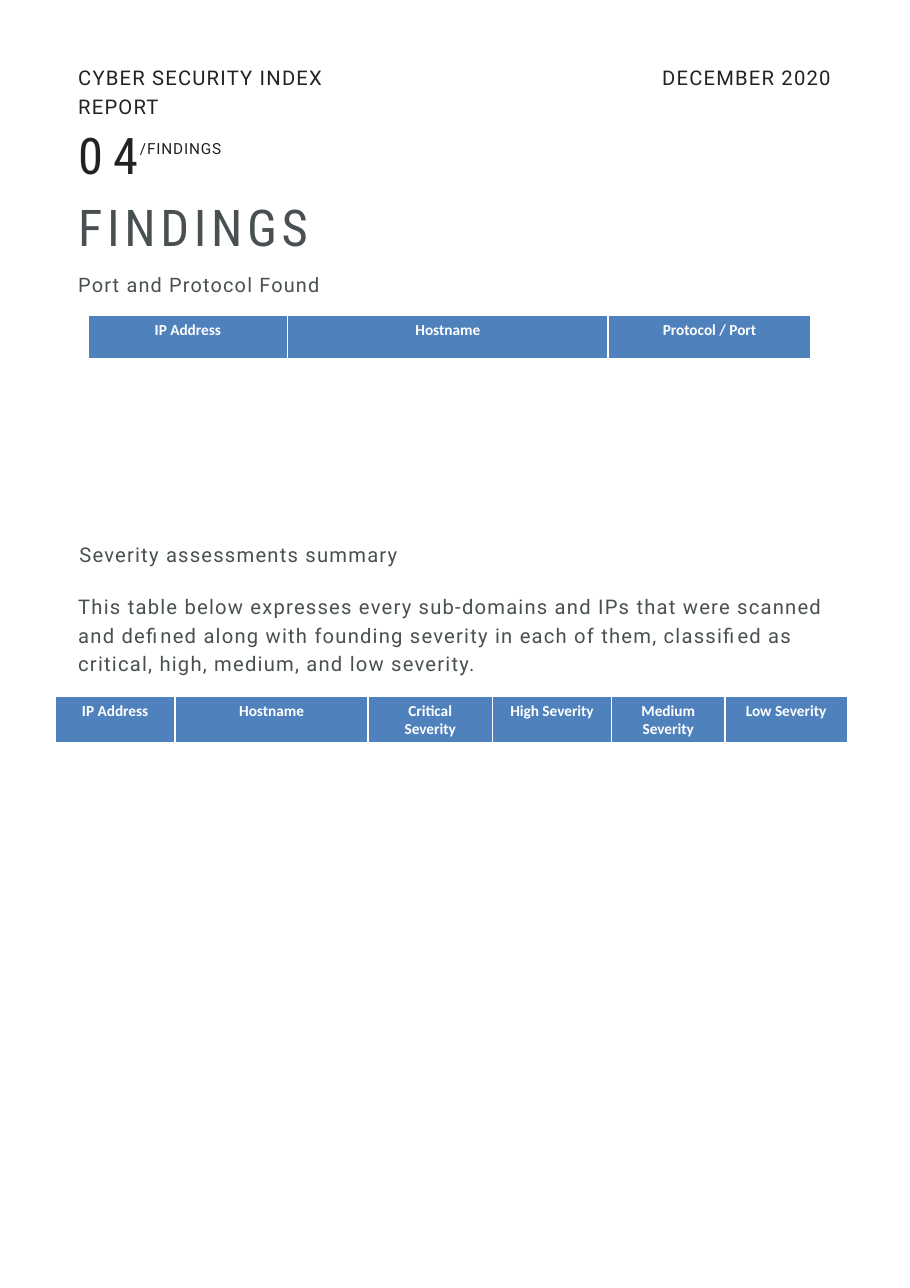
from dataclasses import dataclass

from lxml import etree
from pptx import Presentation
from pptx.dml.color import RGBColor
from pptx.enum.text import MSO_AUTO_SIZE, PP_ALIGN
from pptx.oxml.ns import qn
from pptx.util import Inches, Pt

LEFT, RIGHT, CENTER = PP_ALIGN.LEFT, PP_ALIGN.RIGHT, PP_ALIGN.CENTER
GROW = MSO_AUTO_SIZE.SHAPE_TO_FIT_TEXT


@dataclass(frozen=True)
class Theme:
    ink: str = "222222"
    grey: str = "495052"
    white: str = "FFFFFF"
    blue: str = "4F81BD"
    body_font: str = "Roboto"
    display_font: str = "Roboto Condensed"
    table_font: str = "Calibri"
    display: float = 33
    title: float = 33.1
    body: float = 13.2
    subtitle: float = 13
    small: float = 10


T = Theme()
WIDTH, HEIGHT = Inches(8.26), Inches(11.69)
MARGIN, LINE = 8.6, 2.05

BODY = dict(size=T.body, font=T.body_font, color=T.grey, spacing=0.8, leading=18.5)
HEADER = BODY | dict(color=T.ink)
NUMBER = dict(size=T.display, font=T.display_font, color=T.ink, spacing=6.6, leading=46.3)
LABEL = dict(size=T.small, font=T.body_font, color=T.ink, spacing=0.6, leading=14)
TITLE = dict(size=T.title, font=T.display_font, color=T.grey, spacing=3, leading=38)
CELL = dict(size=T.small, font=T.table_font, color=T.white, bold=True, align=CENTER)

SUMMARY = (
    "This table below expresses every sub-domains and IPs that were scanned and "
    "defined along with founding severity in each of them, classified as critical, "
    "high, medium, and low severity."
)
TEXTS = [
    ("CYBER SECURITY INDEX REPORT", (MARGIN, 4.79, 36.08, LINE), HEADER),
    ("DECEMBER 2020", (59.44, 4.79, 31.84, LINE), HEADER | dict(align=RIGHT)),
    ("04", (MARGIN, 8.81, 28.81, 4.79), NUMBER),
    ("/FINDINGS", (15.38, 10.61, 15.13, 1.54), LABEL),
    ("FINDINGS", (MARGIN, 15.4, 54, 4.79), TITLE),
    ("Port and Protocol Found", (MARGIN, 20.79, 54, LINE), BODY | dict(size=T.subtitle)),
    ("Severity assessments summary", (8.72, 41.75, 54, LINE), BODY),
    (SUMMARY, (MARGIN, 45.85, 82.69, 6.67), BODY),
]
PORTS = [("IP Address", 21.91), ("Hostname", 35.23), ("Protocol / Port", 22.28)]
SEVERITIES = [
    ("IP Address", 13.2),
    ("Hostname", 21.19),
    ("Critical\nSeverity", 13.68),
    ("High Severity", 13.08),
    ("Medium Severity", 12.47),
    ("Low Severity", 13.44),
]
TABLES = [(PORTS, 9.69, 24.47), (SEVERITIES, 6.05, 54.06)]
ROW = 3.51
BORDERS = {"a:lnL": 1, "a:lnR": 1, "a:lnT": 1, "a:lnB": 3}


def across(share):
    return round(WIDTH * share / 100)


def down(share):
    return round(HEIGHT * share / 100)


def write(tf, text, size, font, color, spacing=0, leading=None, bold=False, align=LEFT):
    tf.word_wrap = True
    for i, line in enumerate(text.split("\n")):
        p = tf.add_paragraph() if i else tf.paragraphs[0]
        p.alignment = align
        if leading:
            p.line_spacing = Pt(leading)
        r = p.add_run()
        r.text = line
        r.font.size, r.font.name, r.font.bold = Pt(size), font, bold
        r.font.color.rgb = RGBColor.from_string(color)
        if spacing:
            r.font._element.set("spc", str(round(spacing * 100)))


def add_text(s, text, box, style):
    x, y, w, h = box
    tf = s.shapes.add_textbox(across(x), down(y), across(w), down(h)).text_frame
    tf.margin_left = tf.margin_right = tf.margin_top = tf.margin_bottom = 0
    tf.auto_size = GROW
    write(tf, text, **style)


def add_border(cell, tag, width):
    ln = etree.SubElement(cell._tc.get_or_add_tcPr(), qn(tag), w=str(Pt(width)))
    fill = etree.SubElement(ln, qn("a:solidFill"))
    etree.SubElement(fill, qn("a:srgbClr"), val=T.white)


def add_header_table(s, columns, x, y):
    total = sum(share for _, share in columns)
    frame = s.shapes.add_table(1, len(columns), across(x), down(y), across(total), down(ROW))
    table = frame.table
    for column, cell, (text, share) in zip(table.columns, table.rows[0].cells, columns):
        column.width = across(share)
        write(cell.text_frame, text, **CELL)
        for tag, width in BORDERS.items():
            add_border(cell, tag, width)
        cell.fill.solid()
        cell.fill.fore_color.rgb = RGBColor.from_string(T.blue)


def main():
    prs = Presentation()
    prs.slide_width, prs.slide_height = WIDTH, HEIGHT
    s = prs.slides.add_slide(prs.slide_layouts[6])
    for text, box, style in TEXTS:
        add_text(s, text, box, style)
    for columns, x, y in TABLES:
        add_header_table(s, columns, x, y)
    prs.save("out.pptx")


if __name__ == "__main__":
    main()
